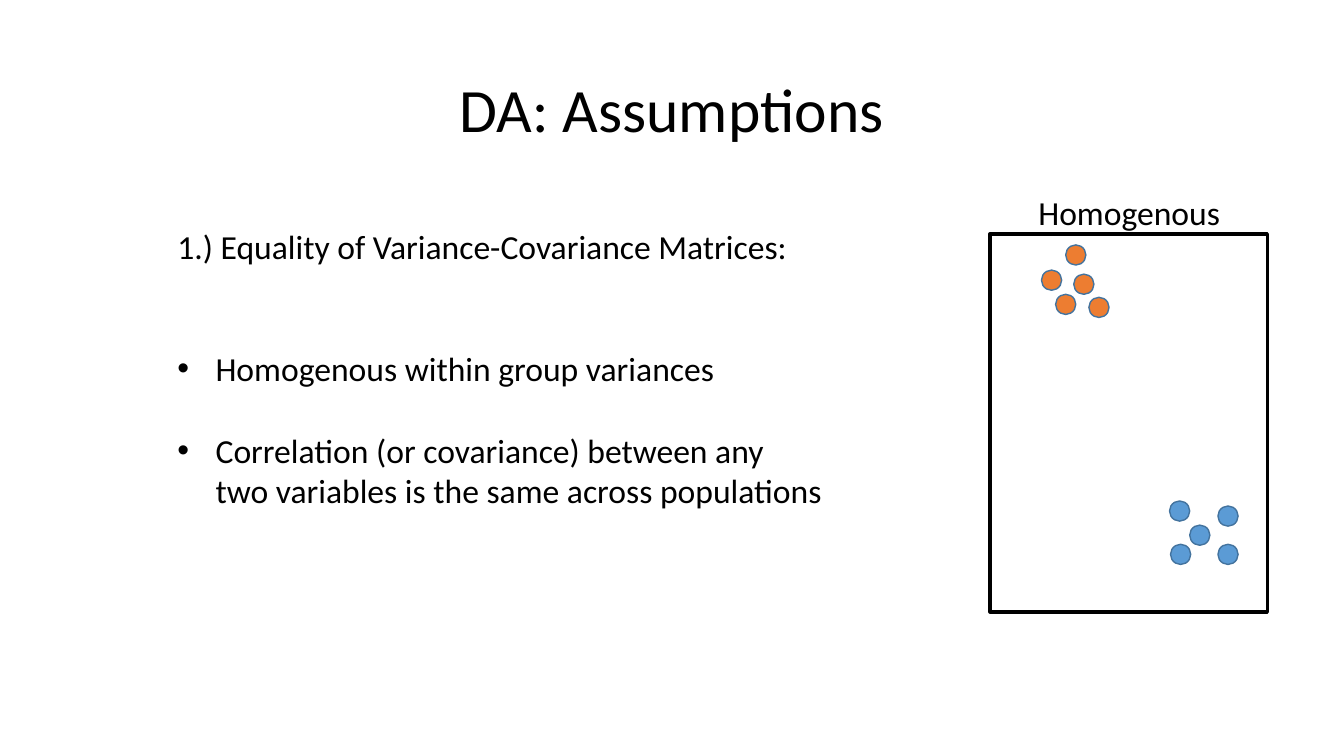
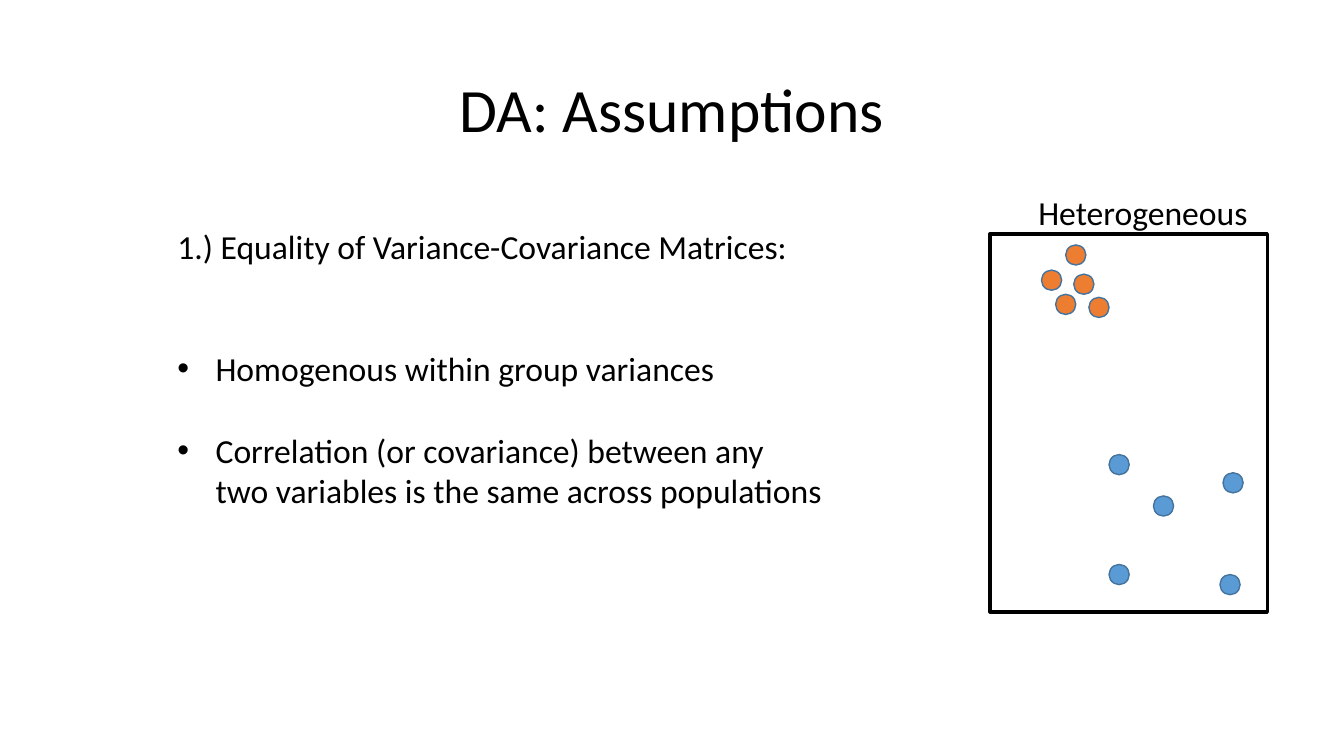
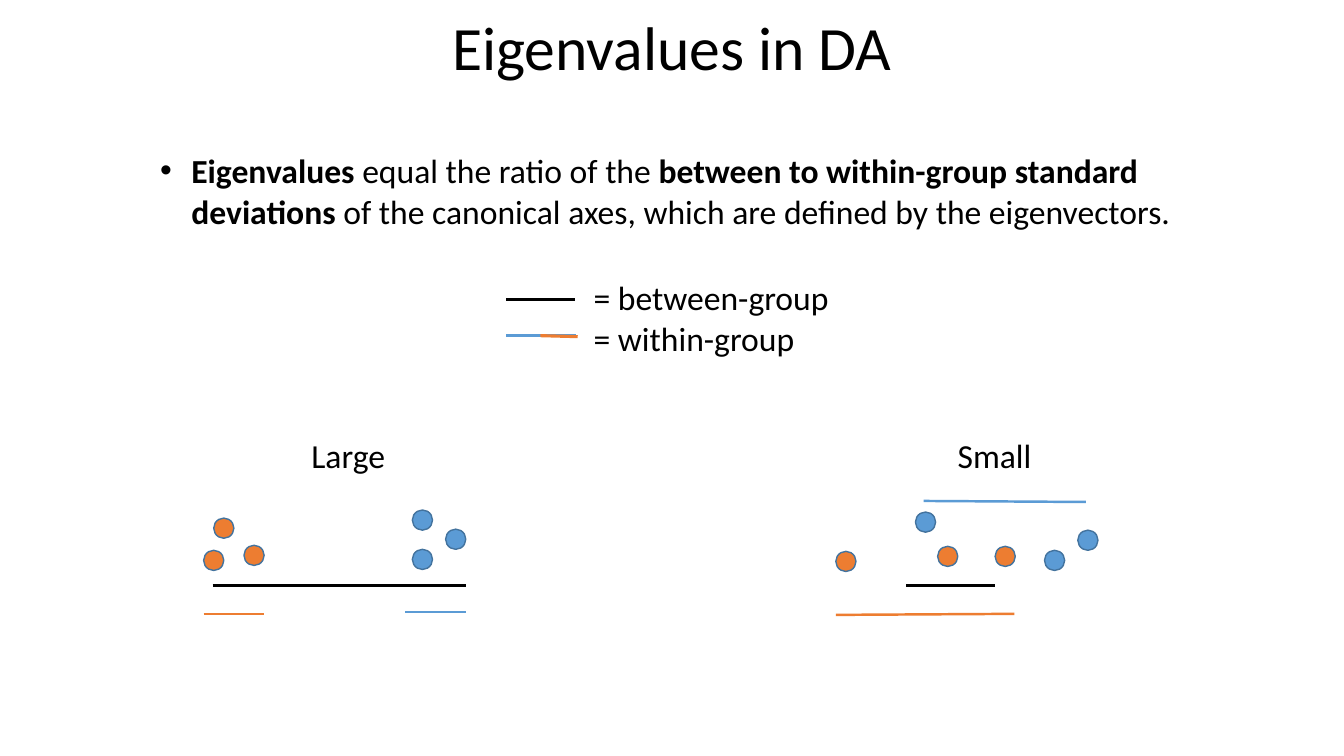
import pptx
import pptx.util
import pptx.dml.color
import pptx.enum.shapes
import pptx.enum.text
import pptx.oxml
import pptx.oxml.ns

RGB = pptx.dml.color.RGBColor
BLACK = RGB(0x00, 0x00, 0x00)
WHITE = RGB(0xFF, 0xFF, 0xFF)
BLUE = RGB(0x5B, 0x9B, 0xD5)
ORANGE = RGB(0xED, 0x7D, 0x31)
RIM = RGB(0x43, 0x73, 0x9E)
FONT = "Calibri"
BODY, HEAD = 24, 44
ROW = 29.3  # height of one body line in points
PX = 9144  # 100 px to the inch
DOT = 20
BREAK = ("\n", False)
SHAPES = pptx.enum.shapes.MSO_SHAPE
ALIGN = pptx.enum.text.PP_ALIGN
PT = pptx.util.Pt


def text(slide, box, paras, size=BODY, align=ALIGN.LEFT, space=None):
    """Each paragraph is (runs, points before, hang); a hang above 0 adds a bullet."""
    frame = slide.shapes.add_textbox(*[n * PX for n in box]).text_frame
    frame.word_wrap = False
    frame.auto_size = pptx.enum.text.MSO_AUTO_SIZE.SHAPE_TO_FIT_TEXT
    for i, (runs, before, hang) in enumerate(paras):
        para = frame.add_paragraph() if i else frame.paragraphs[0]
        para.alignment = align
        para.space_before = PT(before)
        para.line_spacing = space
        if hang:
            props = para._p.get_or_add_pPr()
            props.set("marL", str(hang * PX))
            props.set("indent", str(-hang * PX))
            for tag in ('buFont typeface="Arial"', 'buChar char="•"'):
                props.append(pptx.oxml.parse_xml(
                    f'<a:{tag} {pptx.oxml.ns.nsdecls("a")}/>'))
        for words, bold in runs:
            if words == "\n":
                para.add_line_break()
                continue
            run = para.add_run()
            run.text = words
            run.font.name = FONT
            run.font.size = PT(size)
            run.font.bold = bold
            run.font.color.rgb = BLACK


def dots(slide, spots, fill):
    for x, y in spots:
        dot = slide.shapes.add_shape(SHAPES.OVAL, x * PX, y * PX, DOT * PX, DOT * PX)
        dot.shadow.inherit = False
        dot.fill.solid()
        dot.fill.fore_color.rgb = fill
        dot.line.color.rgb = RIM
        dot.line.width = PT(1)


deck = pptx.Presentation()
deck.slide_width = 1333 * PX
deck.slide_height = 750 * PX
blank = deck.slide_layouts[6]

# Assumptions: the same slide with two kinds of scatter
points = [
    ([("1.) Equality of Variance-Covariance Matrices:", False)], 0, 0),
    ([("Homogenous within group variances", False)], 2 * ROW, 38),
    ([("Correlation (or covariance) between any", False), BREAK,
      ("two variables is the same across populations", False)], ROW, 38),
]
tight = [(1065, 272), (1047, 292), (1033, 268), (1057, 243), (1080, 295)]
cases = [
    ("Homogenous", 202,
     [(1180, 521), (1208, 502), (1161, 540), (1208, 540), (1160, 497)]),
    ("Heterogeneous", 230,
     [(1144, 492), (1213, 469), (1100, 560), (1210, 570), (1100, 451)]),
]
for name, width, loose in cases:
    slide = deck.slides.add_slide(blank)
    text(slide, (436, 74, 461, 77), [([("DA: Assumptions", False)], 0, 0)],
         HEAD, ALIGN.CENTER, 0.9)
    text(slide, (166, 219, 665, 293), points)
    frame = slide.shapes.add_shape(SHAPES.RECTANGLE, 982 * PX, 232 * PX, 275 * PX, 375 * PX)
    frame.shadow.inherit = False
    frame.fill.solid()
    frame.fill.fore_color.rgb = WHITE
    frame.line.color.rgb = BLACK
    frame.line.width = PT(2.5)
    dots(slide, loose, BLUE)
    dots(slide, tight, ORANGE)
    text(slide, (1020, 185, width, 50), [([(name, False)], 0, 0)])

# Eigenvalues
slide = deck.slides.add_slide(blank)
text(slide, (436, 4, 461, 84), [([("Eigenvalues in DA", False)], 0, 0)], HEAD, ALIGN.CENTER)
text(slide, (149, 144, 1046, 91), [([
    ("Eigenvalues", True), (" equal the ratio of the ", False),
    ("between to within-group standard", True), BREAK,
    ("deviations", True),
    (" of the canonical axes, which are defined by the eigenvectors.", False)], 0, 31)])
text(slide, (579, 270, 256, 91), [
    ([("= between-group", False)], 0, 0), ([("= within-group", False)], 0, 0)])
for name, x in (("Large", 299), ("Small", 940)):
    text(slide, (x, 427, 94, 50), [([(name, False)], 0, 0)])

lines = [
    # key
    (502, 297, 570, 297, BLACK, 2.25),
    (502, 333, 571, 333, BLUE, 2.25),
    (536, 333, 573, 334, ORANGE, 2.25),
    # large
    (211, 581, 462, 581, BLACK, 2.25),
    (202, 609, 262, 609, ORANGE, 1.75),
    (402, 607, 462, 607, BLUE, 1.75),
    # small
    (899, 581, 987, 581, BLACK, 2.25),
    (829, 610, 1006, 609, ORANGE, 1.75),
    (916, 497, 1077, 498, BLUE, 1.75),
]
for *ends, color, width in lines:
    line = slide.shapes.add_connector(
        pptx.enum.shapes.MSO_CONNECTOR.STRAIGHT, *[n * PX for n in ends])
    line.line.color.rgb = color
    line.line.width = PT(width)
    line._element.spPr.append(pptx.oxml.parse_xml(
        f'<a:effectLst {pptx.oxml.ns.nsdecls("a")}/>'))

dots(slide, [(442, 525), (409, 506), (409, 545),
             (1069, 526), (908, 508), (1036, 546)], BLUE)
dots(slide, [(212, 514), (202, 546), (242, 541),
             (930, 542), (829, 547), (987, 542)], ORANGE)

deck.save("out.pptx")
